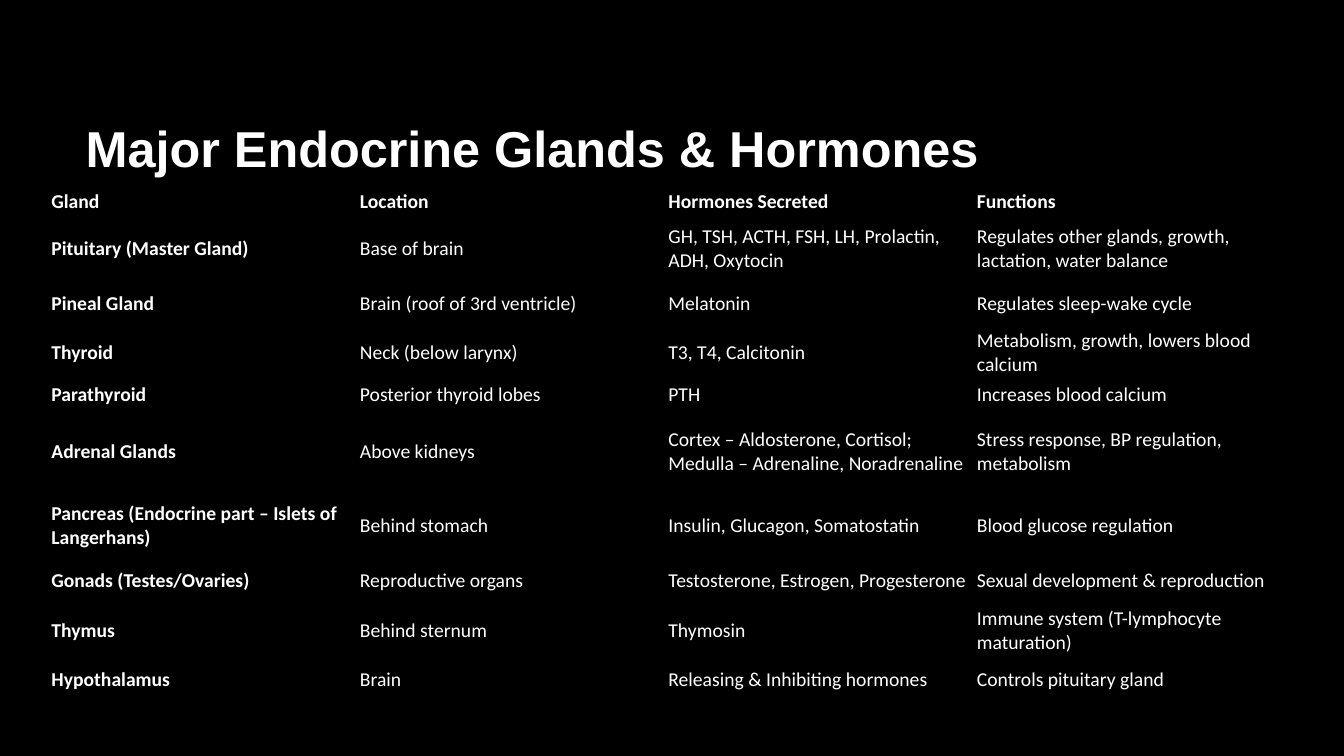
"""Build a slide with a table of the major endocrine glands and their hormones."""
import pptx
import pptx.util
import pptx.dml.color
import pptx.enum.text
import pptx.oxml.ns

Inches = pptx.util.Inches
WHITE = "FFFFFF"
BLACK = "000000"
NO_STYLE_NO_GRID = "{2D5ABB26-0587-4C30-8999-92F81FD0307C}"
ROW_HEIGHTS = [0.25, 0.64, 0.45, 0.45, 0.25, 0.83, 0.64, 0.45, 0.45, 0.45]
COLUMN_WIDTH = 3.06
GLANDS = [
    ("Gland", "Location", "Hormones Secreted", "Functions"),
    ("Pituitary (Master Gland)", "Base of brain",
     "GH, TSH, ACTH, FSH, LH, Prolactin, ADH, Oxytocin",
     "Regulates other glands, growth, lactation, water balance"),
    ("Pineal Gland", "Brain (roof of 3rd ventricle)", "Melatonin",
     "Regulates sleep-wake cycle"),
    ("Thyroid", "Neck (below larynx)", "T3, T4, Calcitonin",
     "Metabolism, growth, lowers blood calcium"),
    ("Parathyroid", "Posterior thyroid lobes", "PTH", "Increases blood calcium"),
    ("Adrenal Glands", "Above kidneys",
     "Cortex – Aldosterone, Cortisol; Medulla – Adrenaline, Noradrenaline",
     "Stress response, BP regulation, metabolism"),
    ("Pancreas (Endocrine part – Islets of Langerhans)", "Behind stomach",
     "Insulin, Glucagon, Somatostatin", "Blood glucose regulation"),
    ("Gonads (Testes/Ovaries)", "Reproductive organs",
     "Testosterone, Estrogen, Progesterone", "Sexual development & reproduction"),
    ("Thymus", "Behind sternum", "Thymosin", "Immune system (T-lymphocyte maturation)"),
    ("Hypothalamus", "Brain", "Releasing & Inhibiting hormones",
     "Controls pituitary gland"),
]


def color(value):
    """Turn a hex string into a colour."""
    return pptx.dml.color.RGBColor.from_string(value)


def add_span(para, text, font, size, bold):
    """Add one white run to a left-aligned paragraph."""
    para.alignment = pptx.enum.text.PP_ALIGN.LEFT
    span = para.add_run()
    span.text = text
    span.font.name = font
    span.font.size = pptx.util.Pt(size)
    span.font.bold = bold
    span.font.color.rgb = color(WHITE)


def set_title(slide, text):
    """Place and fill the title placeholder."""
    title = slide.shapes.title
    title.left, title.top = Inches(0.75), Inches(0.67)
    title.width, title.height = Inches(11.08), Inches(1.59)
    frame = title.text_frame
    frame.word_wrap = True
    frame.auto_size = pptx.enum.text.MSO_AUTO_SIZE.NONE
    frame.vertical_anchor = pptx.enum.text.MSO_ANCHOR.MIDDLE
    add_span(frame.paragraphs[0], text, "Arial", 36, True)


def fill_cell(cell, text, bold):
    """Write text into a transparent cell with narrow margins."""
    cell.fill.background()
    cell.vertical_anchor = pptx.enum.text.MSO_ANCHOR.MIDDLE
    cell.margin_left = cell.margin_right = Inches(0.05)
    cell.margin_top = cell.margin_bottom = Inches(0.03)
    add_span(cell.text_frame.paragraphs[0], text, "Calibri", 14, bold)


def add_gland_table(slide):
    """Add the borderless table with a bold header row and first column."""
    columns = len(GLANDS[0])
    table = slide.shapes.add_table(
        len(GLANDS), columns, Inches(0.46), Inches(1.85),
        Inches(COLUMN_WIDTH * columns), Inches(sum(ROW_HEIGHTS))).table
    table.first_row = table.horz_banding = False
    style = table._tbl.tblPr.find(pptx.oxml.ns.qn("a:tableStyleId"))
    style.text = NO_STYLE_NO_GRID
    for column in table.columns:
        column.width = Inches(COLUMN_WIDTH)
    for row, height in zip(table.rows, ROW_HEIGHTS):
        row.height = Inches(height)
    for row_index, texts in enumerate(GLANDS):
        for column_index, text in enumerate(texts):
            bold = row_index == 0 or column_index == 0
            fill_cell(table.cell(row_index, column_index), text, bold)


def main():
    """Create the deck and save it."""
    deck = pptx.Presentation()
    deck.slide_width, deck.slide_height = Inches(13.33), Inches(7.5)
    slide = deck.slides.add_slide(deck.slide_layouts.get_by_name("Title Only"))
    slide.background.fill.solid()
    slide.background.fill.fore_color.rgb = color(BLACK)
    set_title(slide, "Major Endocrine Glands & Hormones")
    add_gland_table(slide)
    deck.save("out.pptx")


if __name__ == "__main__":
    main()
